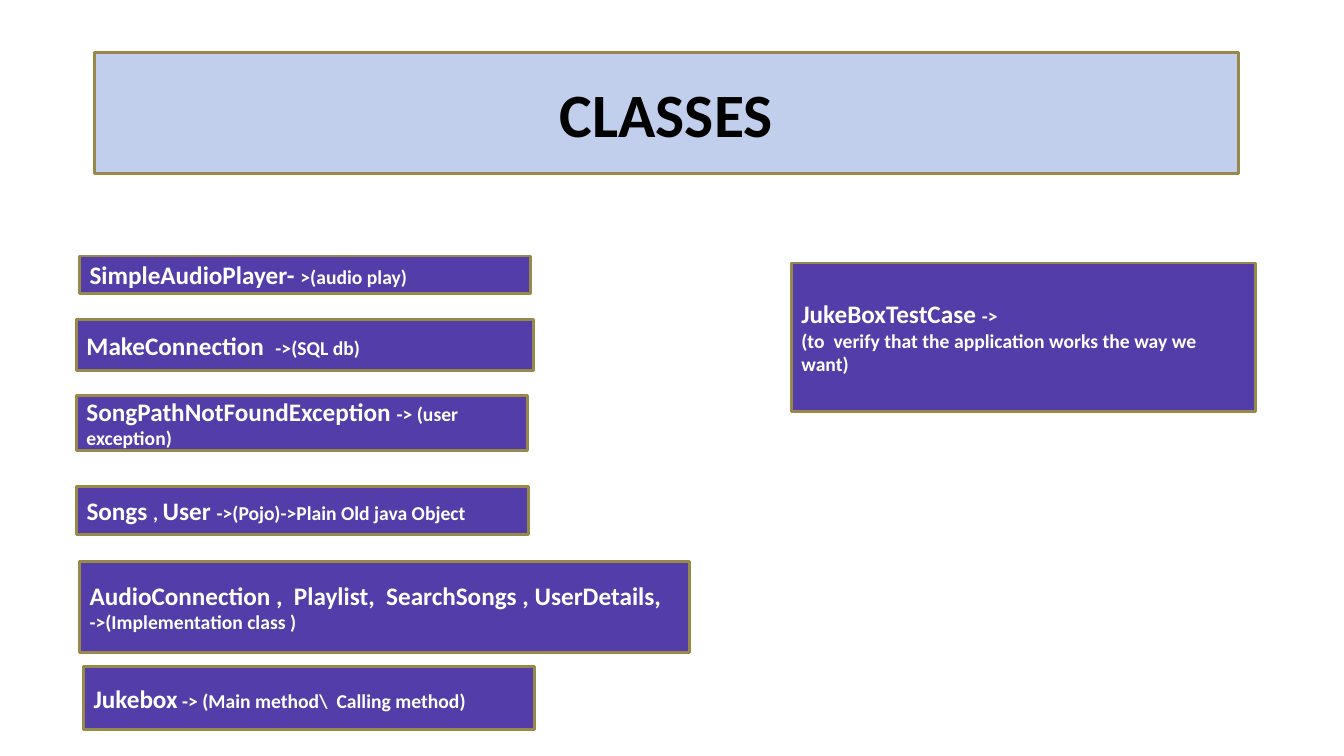
"""Build the CLASSES slide, listing the classes of a jukebox application."""
from dataclasses import dataclass

from pptx import Presentation
from pptx import util as u
from pptx.dml.color import RGBColor
from pptx.enum import shapes, text
from pptx.slide import Slide

FONT = "Calibri"
NAME_SIZE, NOTE_SIZE, TITLE_SIZE = 18, 14, 44
Run = tuple[str, int]


@dataclass(frozen=True)
class Box:
    left: float
    top: float
    width: float
    height: float
    paragraphs: list[list[Run]]
    fill: str = "533EA9"
    font_color: str = "FFFFFF"
    alignment: text.PP_ALIGN = text.PP_ALIGN.LEFT


TITLE = Box(0.94, 0.52, 11.34, 1.2, [[("CLASSES", TITLE_SIZE)]],
            "C1CEEC", "000000", text.PP_ALIGN.CENTER)

CLASS_BOXES = [
    Box(0.79, 2.54, 4.47, 0.37,
        [[("SimpleAudioPlayer- ", NAME_SIZE), (">(audio play)", NOTE_SIZE)]]),
    Box(0.76, 3.17, 4.53, 0.51,
        [[("MakeConnection  ", NAME_SIZE), ("->(SQL db)", NOTE_SIZE)]]),
    Box(0.76, 3.92, 4.47, 0.55,
        [[("SongPathNotFoundException ", NAME_SIZE), ("-> (user exception)", NOTE_SIZE)]]),
    Box(0.76, 4.83, 4.48, 0.47,
        [[("Songs ", NAME_SIZE), (", ", NOTE_SIZE), ("User ", NAME_SIZE),
          ("->(Pojo)->Plain Old java Object", NOTE_SIZE)]]),
    Box(0.79, 5.57, 6.05, 0.9,
        [[("AudioConnection ,  Playlist,  SearchSongs , UserDetails,", NAME_SIZE)],
         [("->(Implementation class )", NOTE_SIZE)]]),
    Box(0.83, 6.61, 4.47, 0.63,
        [[("Jukebox", NAME_SIZE), (" -> (Main method\\  Calling method)", NOTE_SIZE)]]),
    Box(7.85, 2.61, 4.6, 1.47,
        [[("JukeBoxTestCase ", NAME_SIZE), ("->", NOTE_SIZE)],
         [("(to  verify that the application works the way we want)", NOTE_SIZE)]]),
]


def color(value: str) -> RGBColor:
    return RGBColor.from_string(value)


def draw_box(slide: Slide, box: Box) -> None:
    shape = slide.shapes.add_shape(
        shapes.MSO_SHAPE.RECTANGLE,
        *(u.Inches(length) for length in (box.left, box.top, box.width, box.height)))
    shape.shadow.inherit = False
    shape.fill.solid()
    shape.fill.fore_color.rgb = color(box.fill)
    shape.line.color.rgb = color("98894B")
    shape.line.width = u.Pt(2)
    frame = shape.text_frame
    frame.word_wrap = True
    frame.vertical_anchor = text.MSO_ANCHOR.MIDDLE
    for index, runs in enumerate(box.paragraphs):
        paragraph = frame.add_paragraph() if index else frame.paragraphs[0]
        paragraph.alignment = box.alignment
        for content, size in runs:
            run = paragraph.add_run()
            run.text = content
            run.font.name = FONT
            run.font.size = u.Pt(size)
            run.font.bold = True
            run.font.color.rgb = color(box.font_color)


def main() -> None:
    presentation = Presentation()
    presentation.slide_width = u.Inches(13.33)
    presentation.slide_height = u.Inches(7.5)
    slide = presentation.slides.add_slide(presentation.slide_layouts[6])
    for box in [TITLE, *CLASS_BOXES]:
        draw_box(slide, box)
    presentation.save("out.pptx")


if __name__ == "__main__":
    main()
